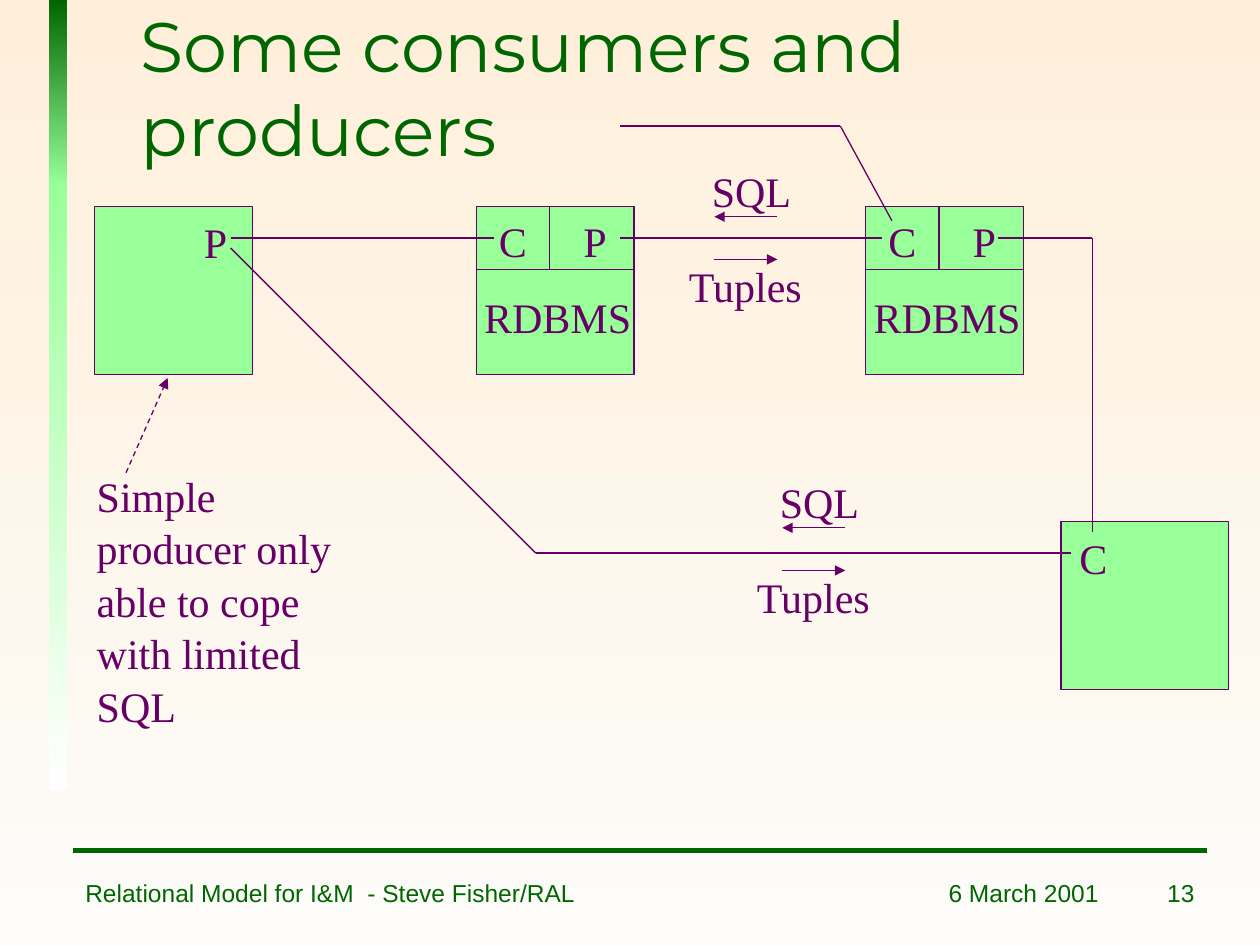
"""Build a slide that shows how consumers and producers exchange SQL and tuples."""
from lxml import etree
from pptx import Presentation
from pptx import util as u
from pptx.dml import color
from pptx.enum import dml, shapes, text
from pptx.oxml import ns

COLORS = {
    "top": "FEEFDA", "bottom": "FDFCF9", "green": "006600",
    "light": "99FF99", "white": "FFFFFF", "purple": "660066",
}
LINK_Y = 4.8
RETURN_Y = 11.15
BOX_TOP = 4.17
NODE_LEFTS = (9.6, 17.45)
FOOTERS = (
    ("Relational Model for I&M  - Steve Fisher/RAL", 1.47, 14.4, text.PP_ALIGN.LEFT),
    ("6 March 2001", 17.12, 5.28, text.PP_ALIGN.RIGHT),
    ("13", 22.86, 1.47, text.PP_ALIGN.RIGHT),
)
PATHS = (
    ((12.5, LINK_Y), (17.78, LINK_Y)),
    ((4.65, LINK_Y), (9.96, LINK_Y)),
    ((20.12, LINK_Y), (22.02, LINK_Y), (22.02, 10.72)),
    ((4.65, 5), (10.8, RETURN_Y), (21.59, RETURN_Y)),
    ((12.5, 2.54), (16.94, 2.54), (17.98, 4.45)),
)


def rgb(name):
    return color.RGBColor.from_string(COLORS[name])


def fill_gradient(fill, start, end):
    fill.gradient()
    fill.gradient_angle = 270
    for stop, name in zip(fill.gradient_stops, (start, end)):
        stop.color.rgb = rgb(name)


def add_rectangle(slide, left, top, width, height):
    shape = slide.shapes.add_shape(
        shapes.MSO_SHAPE.RECTANGLE, u.Cm(left), u.Cm(top), u.Cm(width), u.Cm(height))
    shape.shadow.inherit = False
    return shape


def add_bar(slide, top, height, start, end):
    shape = add_rectangle(slide, 0.99, top, 0.36, height)
    fill_gradient(shape.fill, start, end)
    shape.line.fill.background()


def add_box(slide, left, top, width, height):
    shape = add_rectangle(slide, left, top, width, height)
    shape.fill.solid()
    shape.fill.fore_color.rgb = rgb("light")
    shape.line.color.rgb = rgb("purple")
    shape.line.width = u.Pt(0.75)


def add_line(slide, start, end, line_color="purple", width=0.75, arrow=False, dashed=False):
    connector = slide.shapes.add_connector(
        shapes.MSO_CONNECTOR.STRAIGHT, *(u.Cm(value) for value in (*start, *end)))
    connector.line.color.rgb = rgb(line_color)
    connector.line.width = u.Pt(width)
    if dashed:
        connector.line.dash_style = dml.MSO_LINE.DASH
    if arrow:
        outline = connector.line._get_or_add_ln()
        etree.SubElement(outline, ns.qn("a:tailEnd"), type="triangle")
    etree.SubElement(connector._element.spPr, ns.qn("a:effectLst"))


def add_path(slide, points):
    for start, end in zip(points, points[1:]):
        add_line(slide, start, end)


def add_text(slide, content, left, top, width, height=1.27, size=24,
             font="Times New Roman", font_color="purple", spacing=1.04,
             align=text.PP_ALIGN.LEFT, anchor=text.MSO_ANCHOR.TOP):
    box = slide.shapes.add_textbox(u.Cm(left), u.Cm(top), u.Cm(width), u.Cm(height))
    frame = box.text_frame
    frame.word_wrap = True
    frame.vertical_anchor = anchor
    paragraph = frame.paragraphs[0]
    paragraph.text = content
    paragraph.alignment = align
    paragraph.line_spacing = spacing
    paragraph.font.size = u.Pt(size)
    paragraph.font.name = font
    paragraph.font.color.rgb = rgb(font_color)


def add_database_node(slide, left):
    divider_y = BOX_TOP + 1.27
    add_box(slide, left, BOX_TOP, 3.18, 3.38)
    add_line(slide, (left, divider_y), (left + 3.18, divider_y))
    add_line(slide, (left + 1.48, BOX_TOP), (left + 1.48, divider_y))
    add_text(slide, "C", left + 0.21, BOX_TOP, 1.07)
    add_text(slide, "P", left + 1.91, BOX_TOP, 1.27)
    add_text(slide, "RDBMS", left - 0.09, 5.72, 3.61)


def add_exchange(slide, left, link_y):
    right, upper, lower = left + 1.27, link_y - 0.43, link_y + 0.43
    add_line(slide, (right, upper), (left, upper), arrow=True)
    add_line(slide, (left, lower), (right, lower), arrow=True)
    add_text(slide, "SQL", left - 0.3, upper - 1.19, 2.74)
    add_text(slide, "Tuples", left - 0.76, lower - 0.15, 3.18)


def add_frame(slide):
    fill_gradient(slide.background.fill, "top", "bottom")
    add_bar(slide, 0, 3.76, "green", "light")
    add_bar(slide, 3.71, 12.22, "light", "white")
    add_line(slide, (1.47, 17.15), (24.33, 17.15), line_color="green", width=3)
    add_text(slide, "Some consumers and producers", 2.59, 0.74, 21.59, 2.01, size=40,
             font="Montserrat", font_color="green", spacing=1, anchor=text.MSO_ANCHOR.MIDDLE)
    for content, left, width, align in FOOTERS:
        add_text(slide, content, left, 17.58, width, size=14, font="Arial",
                 font_color="green", spacing=1, align=align)


def main():
    presentation = Presentation()
    presentation.slide_width, presentation.slide_height = u.Cm(25.4), u.Cm(19.05)
    slide = presentation.slides.add_slide(presentation.slide_layouts[6])
    add_frame(slide)
    add_box(slide, 1.91, BOX_TOP, 3.18, 3.38)
    add_box(slide, 21.39, 10.52, 3.38, 3.38)
    for left in NODE_LEFTS:
        add_database_node(slide, left)
    add_text(slide, "P", 3.86, 4.19, 2.11)
    add_text(slide, "C", 21.51, 10.57, 1.47)
    for points in PATHS:
        add_path(slide, points)
    add_exchange(slide, 14.4, LINK_Y)
    add_exchange(slide, 15.77, RETURN_Y - 0.08)
    add_text(slide, "Simple producer only able to cope with limited SQL",
             1.7, 9.32, 5.72, 5.33)
    add_line(slide, (2.54, 9.53), (3.38, 7.62), arrow=True, dashed=True)
    presentation.save("out.pptx")


if __name__ == "__main__":
    main()
